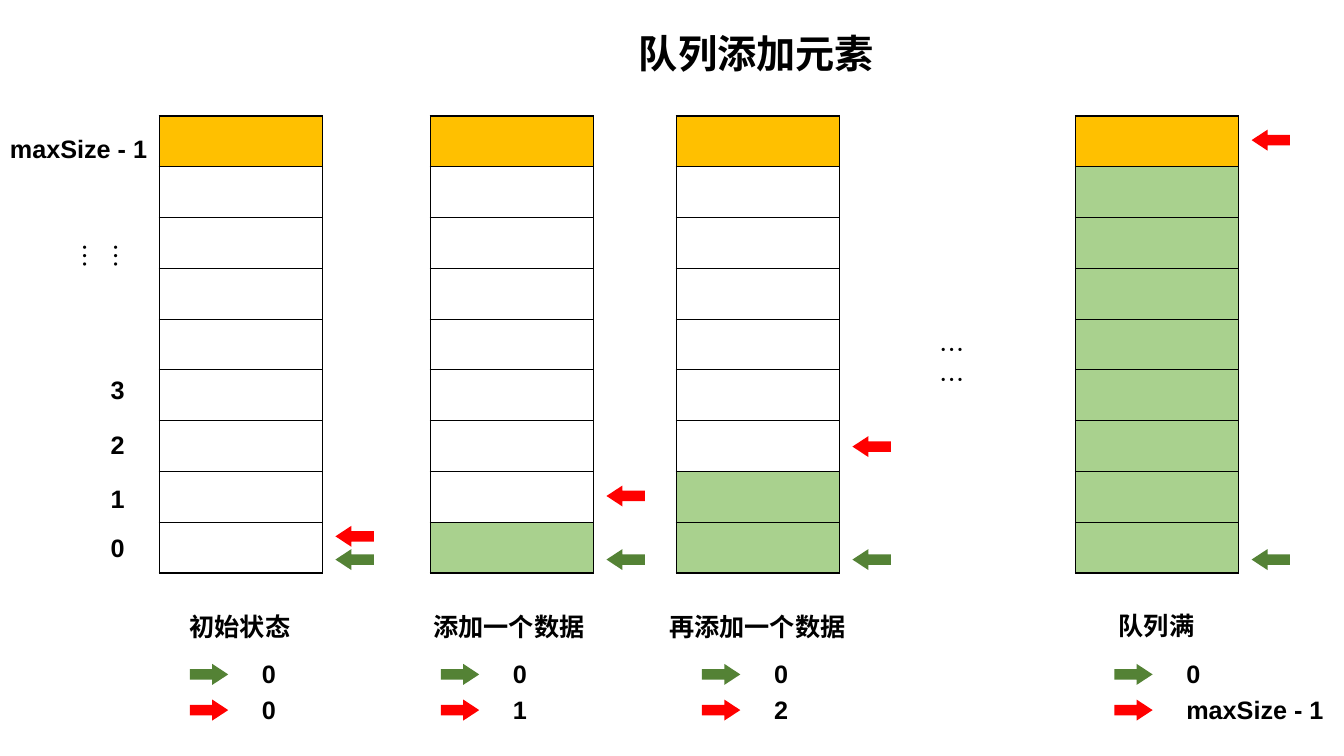
import pptx
import pptx.util
import pptx.dml.color
import pptx.enum.shapes
import pptx.oxml
import pptx.oxml.ns
import lxml.etree

Pt = pptx.util.Pt
RGBColor = pptx.dml.color.RGBColor
BLACK = RGBColor(0x00, 0x00, 0x00)
GOLD = RGBColor(0xFF, 0xC0, 0x00)
LIME = RGBColor(0xA9, 0xD1, 0x8E)
GREEN = RGBColor(0x54, 0x82, 0x35)
RED = RGBColor(0xFF, 0x00, 0x00)

LATIN = "Arial"
HAN = "Noto Sans CJK SC"
CELLS = 9
TOP = 82.8
WIDE = 116.6
HIGH = 36.3
LINE = 28.8


def add_text(slide, text, left, top, width, height=LINE, size=18,
             face=LATIN, bold=True, wrap=False):
    box = slide.shapes.add_textbox(Pt(left), Pt(top), Pt(width), Pt(height))
    box.text_frame.word_wrap = wrap
    para = box.text_frame.paragraphs[0]
    para.text = text
    para.font.size = Pt(size)
    para.font.bold = bold
    para.font.name = face
    para.font.color.rgb = BLACK
    if face == HAN:
        props = para.runs[0].font
        props.name = HAN
        east = lxml.etree.SubElement(props._element, pptx.oxml.ns.qn("a:ea"))
        east.set("typeface", HAN)
    return box


def add_dots(slide, left, top, width, height):
    box = add_text(slide, "……", left, top, width, height,
                   face=HAN, bold=False, wrap=True)
    box.text_frame.paragraphs[0].line_spacing = Pt(21.5)
    return box


def add_arrow(slide, left, top, turn, color):
    kind = pptx.enum.shapes.MSO_SHAPE.DOWN_ARROW
    arrow = slide.shapes.add_shape(kind, Pt(left), Pt(top), Pt(15), Pt(27.4))
    arrow.adjustments[0] = 0.5
    arrow.adjustments[1] = 0.76
    arrow.rotation = turn
    arrow.shadow.inherit = False
    arrow.fill.solid()
    arrow.fill.fore_color.rgb = color
    arrow.line.fill.background()


def set_edges(cell):
    props = cell._tc.get_or_add_tcPr()
    space = pptx.oxml.ns.nsdecls("a")
    for rank, side in enumerate(("lnL", "lnR", "lnT", "lnB")):
        edge = pptx.oxml.parse_xml(
            f'<a:{side} {space} w="12700"><a:solidFill>'
            f'<a:srgbClr val="{BLACK}"/></a:solidFill></a:{side}>')
        props.insert(rank, edge)


def add_queue(slide, left, used):
    frame = slide.shapes.add_table(CELLS, 1, Pt(left), Pt(TOP),
                                   Pt(WIDE), Pt(CELLS * HIGH))
    table = frame.table
    table.first_row = False
    table.horz_banding = False
    table.columns[0].width = Pt(WIDE)
    for index, row in enumerate(table.rows):
        row.height = Pt(HIGH)
        cell = table.cell(index, 0)
        if index == 0 or index >= CELLS - used:
            cell.fill.solid()
            cell.fill.fore_color.rgb = LIME if index else GOLD
        else:
            cell.fill.background()
        set_edges(cell)


def add_state(slide, left, used, rear, title, head, key, value):
    add_queue(slide, left, used)
    add_arrow(slide, left + 132, 386, 90, GREEN)
    add_arrow(slide, left + 132, rear, 90, RED)
    add_text(slide, title, *head)
    for top, color, text in ((468, GREEN, "0"), (493.5, RED, value)):
        add_arrow(slide, key, top, 270, color)
        width = 24.5 if len(text) == 1 else 113.8
        add_text(slide, text, key + 38.2, top - 1, width)


def main():
    deck = pptx.Presentation()
    deck.slide_width = Pt(960)
    deck.slide_height = Pt(540)
    slide = deck.slides.add_slide(deck.slide_layouts[6])

    add_text(slide, "队列添加元素", 449.3, 17.3, 184.3, 41, size=28, face=HAN)
    add_text(slide, "maxSize - 1", 0, 91.4, 113.8)
    for text, top in (("3", 264.2), ("2", 303.1), ("1", 342), ("0", 376.6)):
        add_text(slide, text, 72, top, 24.5)
    tall = add_dots(slide, 61.2, 167, 36, 36.7)
    tall.text_frame._txBody.bodyPr.set("vert", "eaVert")
    add_dots(slide, 663.8, 235.4, 40.3, LINE)

    states = (
        (113.8, 0, 369.4, "初始状态", (128.2, 433.4, 87.1), 141.8, "0"),
        (307.4, 1, 340.6, "添加一个数据", (302.4, 433.4, 126.7), 321.1, "1"),
        (483.1, 2, 305.3, "再添加一个数据", (470.9, 433.4, 141.8), 507.6, "2"),
        (768.2, 8, 86.4, "队列满", (792, 432.7, 69.1), 802.1, "maxSize - 1"),
    )
    for state in states:
        add_state(slide, *state)
    deck.save("out.pptx")


main()
